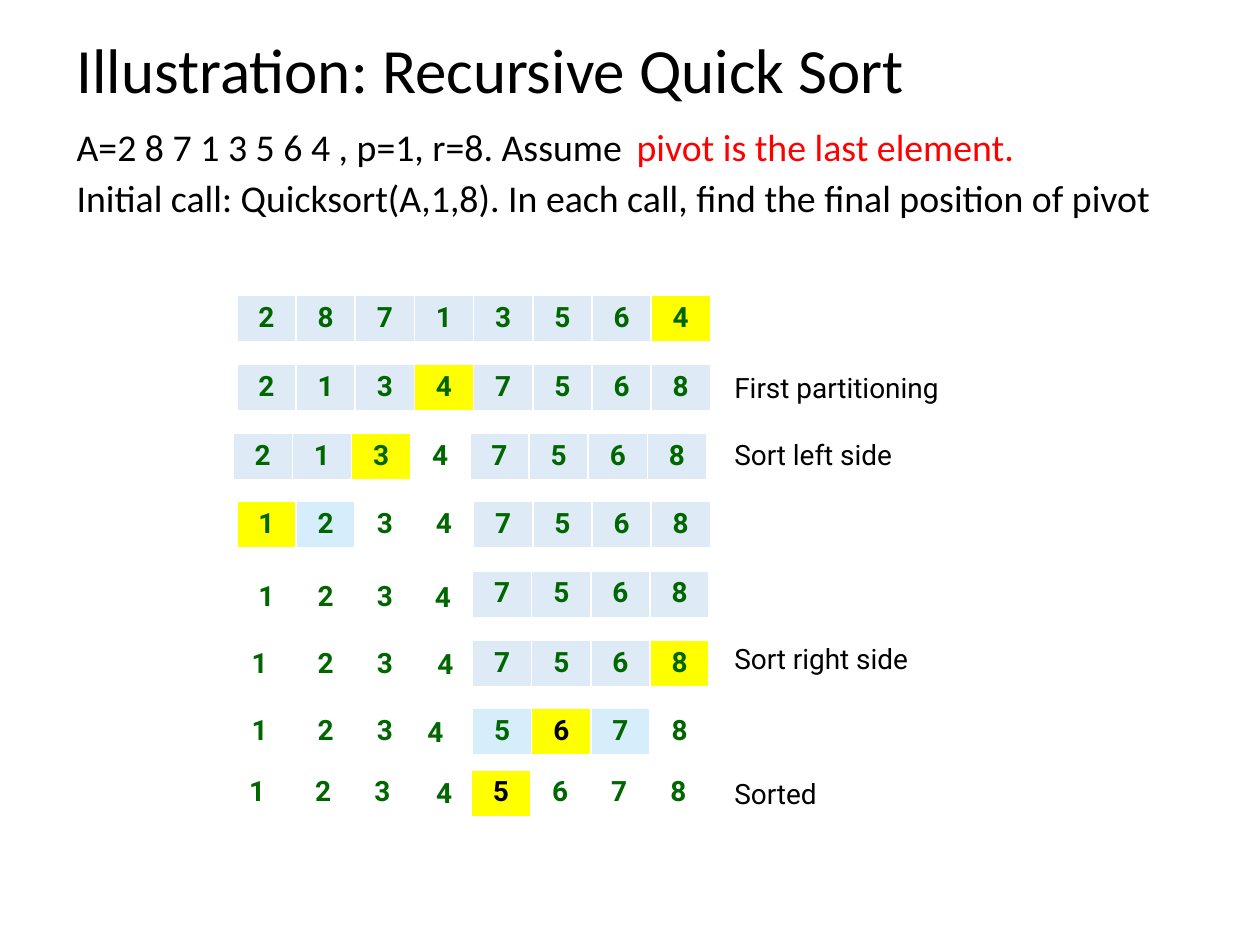
from pptx import Presentation
from pptx.dml.color import RGBColor
from pptx.enum.text import MSO_ANCHOR as Anchor, PP_ALIGN as Align
from pptx.util import Inches, Pt

BLACK, GREEN, RED = "000000", "006600", "FF0000"
FILLS = {"p": "DEEBF7", "s": "D6EEFC", "y": "FFFF00", "w": "FFFFFF"}
CELL, HIGH = 0.47, 0.37

# left, top, digits, fill codes ("-" is no fill)
ROWS = [
    (1.88, 2.34, "28713564", "pppppppy"),
    (1.88, 2.89, "21347568", "pppypppp"),
    (1.85, 3.44, "21347568", "ppywpppp"),
    (1.88, 3.98, "12347568", "ys--pppp"),
    (1.88, 4.56, "123", "---"),
    (3.75, 4.53, "7568", "pppp"),
    (1.88, 5.09, "123", "---"),
    (3.75, 5.08, "7568", "pppy"),
    (1.88, 5.62, "123", "---"),
    (3.75, 5.62, "5678", "sys-"),
    (3.74, 6.11, "5678", "y---"),
    (1.86, 6.11, "123", "---"),
]
FOURS = [(3.34, 4.55), (3.36, 5.08), (3.28, 5.62), (3.35, 6.11)]
LABELS = [("First partitioning", 0), ("Sort left side", 1),
          ("Sort right side", 5), ("Sorted", 3)]
TITLE = [
    (0.9, [("Illustration: Recursive Quick Sort", 36, BLACK)]),
    (0.9, [("A=2 8 7 1 3 5 6 4 , p=1, r=8. Assume", 21.6, BLACK),
           (" ", 36, BLACK),
           ("pivot is the last element.", 21.6, RED)]),
    (1.0, [("Initial call: Quicksort(A,1,8). In each call, "
            "find the final position of pivot", 21.6, BLACK)]),
]


def paint(run, size, color, face="Roboto", bold=False):
    """Format one run of text."""
    font = run.font
    font.size, font.name, font.bold = Pt(size), face, bold
    font.color.rgb = RGBColor.from_string(color)


def add_box(slide, left, top, width, height, wrap=True):
    """Add a text box and return its text frame."""
    box = slide.shapes.add_textbox(
        Inches(left), Inches(top), Inches(width), Inches(height))
    box.text_frame.word_wrap = wrap
    return box.text_frame


def next_line(frame, index):
    """Return the first paragraph, or a new one after it."""
    return frame.add_paragraph() if index else frame.paragraphs[0]


def add_title(slide):
    """Add the heading and the two lines on the call."""
    frame = add_box(slide, 0.51, 0.23, 9.49, 1.6)
    frame.vertical_anchor = Anchor.MIDDLE
    for index, (space, parts) in enumerate(TITLE):
        line = next_line(frame, index)
        line.line_spacing = space
        for text, size, color in parts:
            run = line.add_run()
            run.text = text
            paint(run, size, color, "Calibri")


def add_row(slide, left, top, digits, codes):
    """Add one state of the array as a table."""
    count = len(digits)
    table = slide.shapes.add_table(
        1, count, Inches(left), Inches(top),
        Inches(CELL * count), Inches(HIGH)).table
    for index, (digit, code) in enumerate(zip(digits, codes)):
        table.columns[index].width = Inches(CELL)
        cell = table.cell(0, index)
        if code in FILLS:
            cell.fill.solid()
            cell.fill.fore_color.rgb = RGBColor.from_string(FILLS[code])
        else:
            cell.fill.background()
        line = cell.text_frame.paragraphs[0]
        line.text, line.alignment = digit, Align.CENTER
        last = digits == "5678" and code == "y"
        paint(line.runs[0], 16, BLACK if last else GREEN, bold=True)
    if count == 3 and top > 5:
        table.cell(0, 0).margin_right = Inches(0.21)


def add_four(slide, left, top):
    """Add the settled pivot that stands between two tables."""
    frame = add_box(slide, left, top, 0.35, HIGH, False)
    line = frame.paragraphs[0]
    line.text, line.alignment = "4", Align.CENTER
    paint(line.runs[0], 16, GREEN, bold=True)


def add_labels(slide):
    """Add the step names beside the rows."""
    frame = add_box(slide, 5.73, 2.89, 1.97, 3.6)
    for index, (text, skip) in enumerate(LABELS):
        line = next_line(frame, index)
        line.text = text
        line.space_before = Pt(19.4 * skip)
        paint(line.runs[0], 16, BLACK)


def main():
    """Build and save the slide."""
    deck = Presentation()
    deck.slide_width, deck.slide_height = Inches(10), Inches(7.5)
    slide = deck.slides.add_slide(deck.slide_layouts[6])
    add_title(slide)
    for row in ROWS:
        add_row(slide, *row)
    for spot in FOURS:
        add_four(slide, *spot)
    add_labels(slide)
    deck.save("out.pptx")


if __name__ == "__main__":
    main()
